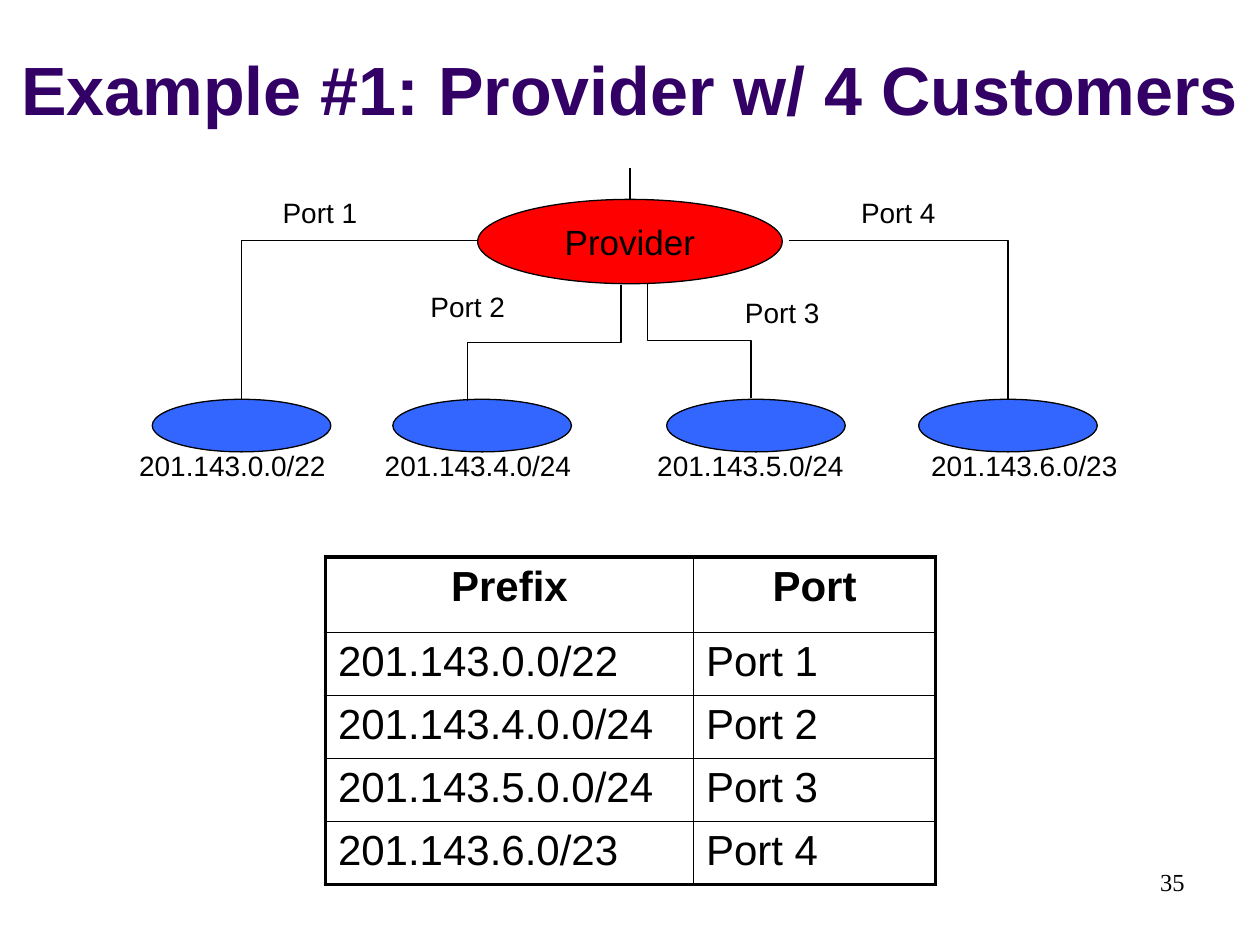
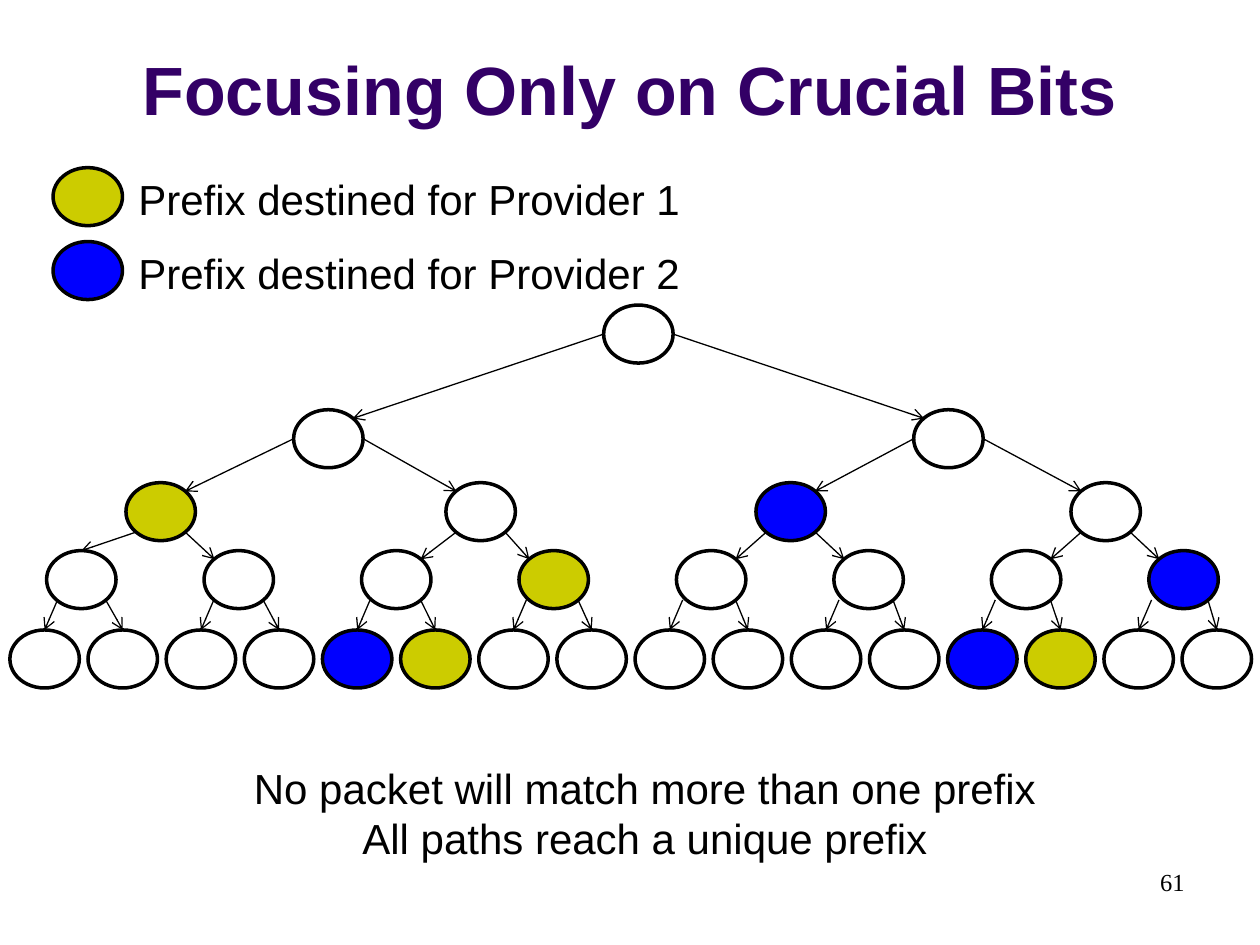
from dataclasses import dataclass
from itertools import product

from lxml.etree import SubElement
from pptx import Presentation
from pptx.dml.color import RGBColor
from pptx.enum.shapes import MSO_CONNECTOR, MSO_SHAPE
from pptx.enum.text import MSO_ANCHOR, MSO_AUTO_SIZE, PP_ALIGN
from pptx.oxml.ns import qn
from pptx.shapes.autoshape import Shape
from pptx.shapes.connector import Connector
from pptx.shapes.shapetree import GroupShapes, SlideShapes
from pptx.slide import Slide
from pptx.table import _Cell as Cell
from pptx.text.text import TextFrame
from pptx.util import Cm, Pt

Shapes = SlideShapes | GroupShapes
Point = tuple[float, float]
LEFT, MID, RIGHT = PP_ALIGN.LEFT, PP_ALIGN.CENTER, PP_ALIGN.RIGHT


@dataclass(frozen=True)
class Theme:
    ink: RGBColor = RGBColor(0, 0, 0)
    white: RGBColor = RGBColor(0xFF, 0xFF, 0xFF)
    title: RGBColor = RGBColor(0x33, 0x00, 0x66)
    red: RGBColor = RGBColor(0xFF, 0x00, 0x00)
    sky: RGBColor = RGBColor(0x33, 0x66, 0xFF)
    gold: RGBColor = RGBColor(0xCC, 0xCC, 0x00)
    blue: RGBColor = RGBColor(0x00, 0x00, 0xFF)
    sans: str = "Arial"
    serif: str = "Times New Roman"
    head: int = 39
    large: int = 24
    hub: int = 20
    small: int = 16
    foot: int = 14
    thin: float = 0.75
    thick: float = 2
    grid: float = 1
    frame: float = 2.25


THEME = Theme()


@dataclass(frozen=True)
class Box:
    left: float
    top: float
    width: float
    height: float

    def lengths(self) -> tuple[Cm, Cm, Cm, Cm]:
        return Cm(self.left), Cm(self.top), Cm(self.width), Cm(self.height)

    def spot(self, part: Point) -> Point:
        return self.left + part[0] * self.width, self.top + part[1] * self.height


@dataclass(frozen=True)
class Site:
    left: float
    label: float
    prefix: str
    align: PP_ALIGN


@dataclass(frozen=True)
class Elbow:
    kind: str
    box: Box
    turn: int = 0
    flip: str = ""


@dataclass(frozen=True)
class Port:
    name: str
    left: float
    top: float
    route: str


@dataclass(frozen=True)
class Tier:
    top: float
    lefts: tuple[float, ...]
    gold: tuple[int, ...] = ()
    blue: tuple[int, ...] = ()
    leave: Point = (0, 0)
    reach: Point = (0, 0)


def spread(first: float, last: float, count: int) -> tuple[float, ...]:
    step = (last - first) / (count - 1)
    return tuple(first + step * i for i in range(count))


SITES = (
    Site(3.07, 2.49, "201.143.0.0/22", MID),
    Site(7.92, 7.44, "201.143.4.0/24", MID),
    Site(13.44, 13, "201.143.5.0/24", LEFT),
    Site(18.52, 18.52, "201.143.6.0/23", LEFT),
)
ELBOWS = (
    Elbow("bentConnector2", Box(4.87, 4.85, 4.9, 3.2), 180, "flipV"),
    Elbow("bentConnector3", Box(9.8, 5.36, 2.34, 3.1), 90),
    Elbow("bentConnector2", Box(15.9, 4.85, 4.42, 3.2)),
    Elbow("bentConnector3", Box(12.93, 5.82, 2.34, 2.08), 270, "flipH"),
)
PORTS = (
    Port("Port 1", 5.28, 3.81, "201.143.0.0/22"),
    Port("Port 2", 8.26, 5.72, "201.143.4.0.0/24"),
    Port("Port 3", 14.6, 5.84, "201.143.5.0.0/24"),
    Port("Port 4", 16.94, 3.81, "201.143.6.0/23"),
)
NODE = (1.4, 1.17)
TIERS = (
    Tier(6.15, (12.17,), leave=(0, 0.5)),
    Tier(8.26, (5.92, 18.42), leave=(0, 0.5), reach=(0.85, 0.15)),
    Tier(9.73, (2.54, 8.99, 15.24, 21.59), (0,), (2,), (0.15, 0.85), (0.85, 0.15)),
    Tier(11.1, spread(0.94, 23.16, 8), (3,), (7,), (0.15, 0.85), (0.85, 0.15)),
    Tier(12.7, spread(0.2, 23.83, 16), (5, 13), (4, 12), reach=(0.5, 0)),
)
LEGEND = (
    ("Prefix destined for Provider 1", THEME.gold, 3.38),
    ("Prefix destined for Provider 2", THEME.blue, 4.87),
)


def write(frame: TextFrame, lines: tuple[str, ...], size: int, align: PP_ALIGN = LEFT,
          bold: bool = False, hue: RGBColor = THEME.ink, face: str = THEME.sans) -> None:
    for i, line in enumerate(lines):
        para = frame.add_paragraph() if i else frame.paragraphs[0]
        para.alignment = align
        run = para.add_run()
        run.text = line
        font = run.font
        font.name, font.size, font.bold = face, Pt(size), bold
        font.color.rgb = hue


def note(shapes: Shapes, box: Box, lines: tuple[str, ...], size: int,
         align: PP_ALIGN = LEFT, face: str = THEME.sans) -> None:
    frame = shapes.add_textbox(*box.lengths()).text_frame
    frame.word_wrap = True
    write(frame, lines, size, align, face=face)


def oval(shapes: Shapes, box: Box, fill: RGBColor, width: float) -> Shape:
    shape = shapes.add_shape(MSO_SHAPE.OVAL, *box.lengths())
    shape.shadow.inherit = False
    shape.fill.solid()
    shape.fill.fore_color.rgb = fill
    shape.line.color.rgb = THEME.ink
    shape.line.width = Pt(width)
    return shape


def link(shapes: Shapes, start: Point, end: Point,
         kind: MSO_CONNECTOR = MSO_CONNECTOR.STRAIGHT) -> Connector:
    line = shapes.add_connector(kind, *(Cm(v) for v in (*start, *end)))
    line.line.color.rgb = THEME.ink
    line.line.width = Pt(THEME.thin)
    SubElement(line._element.spPr, qn("a:effectLst"))
    return line


def arrow(shapes: Shapes, start: Point, end: Point) -> None:
    line = link(shapes, start, end)
    SubElement(line.line._get_or_add_ln(), qn("a:tailEnd"), type="arrow")


def bend(shapes: Shapes, elbow: Elbow) -> None:
    box = elbow.box
    line = link(shapes, box.spot((0, 0)), box.spot((1, 1)), MSO_CONNECTOR.ELBOW)
    props = line._element.spPr
    props.find(qn("a:prstGeom")).set("prst", elbow.kind)
    place = props.find(qn("a:xfrm"))
    if elbow.turn:
        place.set("rot", str(elbow.turn * 60000))
    if elbow.flip:
        place.set(elbow.flip, "1")


def edge(cell: Cell, side: str, width: float) -> None:
    line = SubElement(cell._tc.get_or_add_tcPr(), qn(f"a:ln{side}"), w=str(Pt(width)))
    fill = SubElement(line, qn("a:solidFill"))
    SubElement(fill, qn("a:srgbClr"), val=str(THEME.ink))


def start(deck: Presentation, title: str, page: str) -> Slide:
    slide = deck.slides.add_slide(deck.slide_layouts[5])
    head = slide.shapes.title
    head.left, head.top, head.width, head.height = Box(0, 0.33, 25.4, 2.41).lengths()
    frame = head.text_frame
    frame.auto_size = MSO_AUTO_SIZE.NONE
    frame.vertical_anchor = MSO_ANCHOR.BOTTOM
    write(frame, (title,), THEME.head, MID, True, THEME.title)
    note(slide.shapes, Box(18.21, 17.35, 5.92, 1.27), (page,), THEME.foot, RIGHT, THEME.serif)
    return slide


def draw_routes(shapes: Shapes) -> None:
    rows = (("Prefix", "Port"), *((port.route, port.name) for port in PORTS))
    table = shapes.add_table(len(rows), 2, *Box(6.56, 11.23, 12.3, 6.32).lengths()).table
    table.first_row = table.horz_banding = False
    for col, width in zip(table.columns, (7.42, 4.88)):
        col.width = Cm(width)
    for r, row in enumerate(rows):
        table.rows[r].height = Cm(1.2 if r else 1.52)
        for c, text in enumerate(row):
            cell = table.cell(r, c)
            outer = {"L": c == 0, "R": c == 1, "T": r == 0, "B": r == len(rows) - 1}
            for side, rim in outer.items():
                edge(cell, side, THEME.frame if rim else THEME.grid)
            cell.fill.background()
            write(cell.text_frame, (text,), THEME.large, LEFT if r else MID, r == 0)


def draw_net(shapes: Shapes) -> None:
    group = shapes.add_group_shape().shapes
    for site in SITES:
        oval(group, Box(site.left, 8.05, 3.6, 1.06), THEME.sky, THEME.thin)
        note(group, Box(site.label, 8.92, 4.39, 0.94), (site.prefix,), THEME.small, site.align)
    for elbow in ELBOWS:
        bend(group, elbow)
    hub = oval(group, Box(9.63, 4.02, 6.14, 1.7), THEME.red, THEME.thin)
    hub.text_frame.word_wrap = False
    hub.text_frame.vertical_anchor = MSO_ANCHOR.MIDDLE
    write(hub.text_frame, ("Provider",), THEME.hub, MID)
    link(shapes, (12.7, 3.38), (12.7, 4.02))
    for port in PORTS:
        note(shapes, Box(port.left, port.top, 2.34, 0.94), (port.name,), THEME.small, MID)


def draw_tree(shapes: Shapes) -> None:
    nodes = [[Box(left, tier.top, *NODE) for left in tier.lefts] for tier in TIERS]
    for tier, boxes in zip(TIERS, nodes):
        for i, box in enumerate(boxes):
            fill = THEME.gold if i in tier.gold else THEME.blue if i in tier.blue else THEME.white
            oval(shapes, box, fill, THEME.thick)
    for depth, tier in enumerate(TIERS[:-1]):
        below = TIERS[depth + 1]
        leaf = depth == len(TIERS) - 2
        for i, side in product(range(len(tier.lefts)), (0, 1)):
            child = 2 * i + side
            reach = (0.5, 0) if (depth, child) == (2, 0) else below.reach
            ends = [(abs(side - x), y) for x, y in (tier.leave, reach)]
            tail = nodes[depth][i].spot(ends[0])
            tip = nodes[depth + 1][child].spot(ends[1])
            if leaf and not side:
                tail = (tip[0] + 0.26, tail[1])
            arrow(shapes, tail, tip)


def draw_legend(shapes: Shapes) -> None:
    for text, fill, top in LEGEND:
        oval(shapes, Box(1.07, top, *NODE), fill, THEME.thick)
        note(shapes, Box(2.54, top, 16.08, 1.27), (text,), THEME.large)


def main() -> None:
    deck = Presentation()
    deck.slide_width, deck.slide_height = Cm(25.4), Cm(19.05)

    net = start(deck, "Example #1: Provider w/ 4 Customers", "35").shapes
    draw_routes(net)
    draw_net(net)

    tree = start(deck, "Focusing Only on Crucial Bits", "61").shapes
    draw_tree(tree)
    draw_legend(tree)
    lines = ("No packet will match more than one prefix", "All paths reach a unique prefix")
    note(tree, Box(2.74, 15.24, 20.52, 2.31), lines, THEME.large, MID)

    deck.save("out.pptx")


if __name__ == "__main__":
    main()
